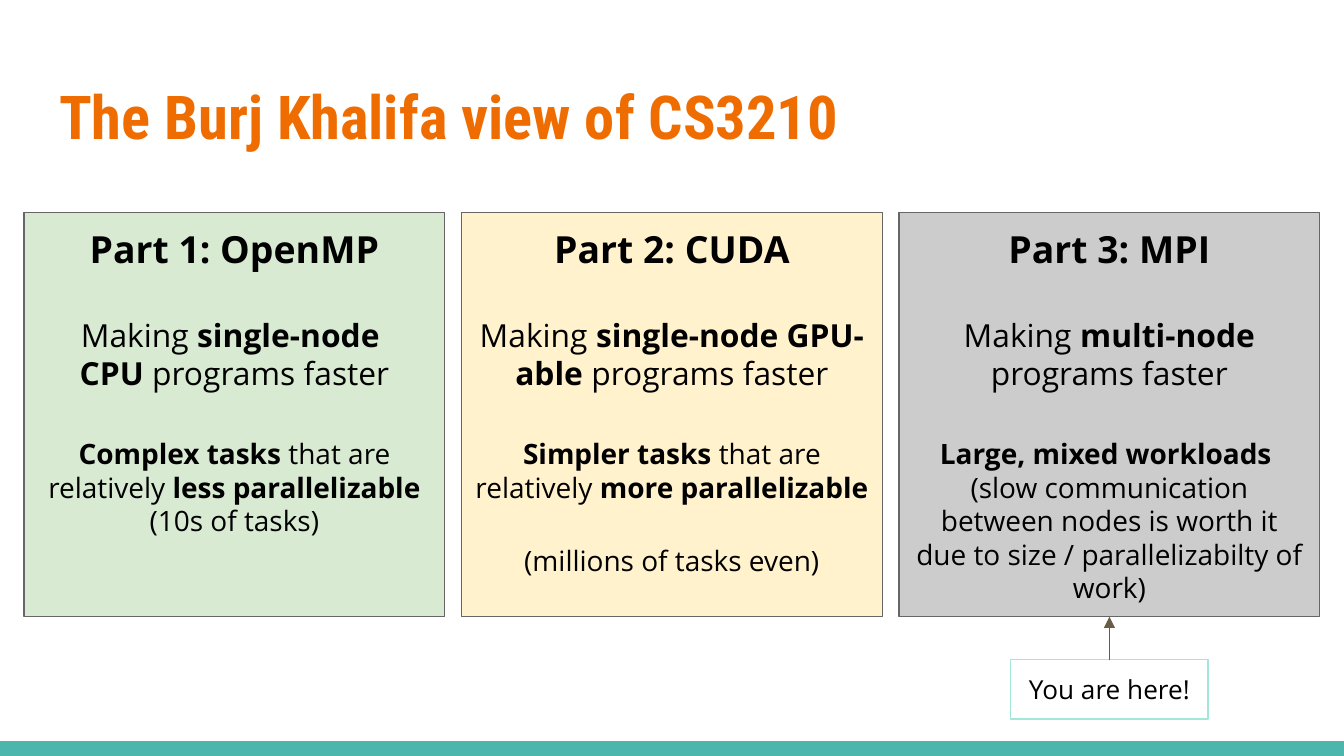
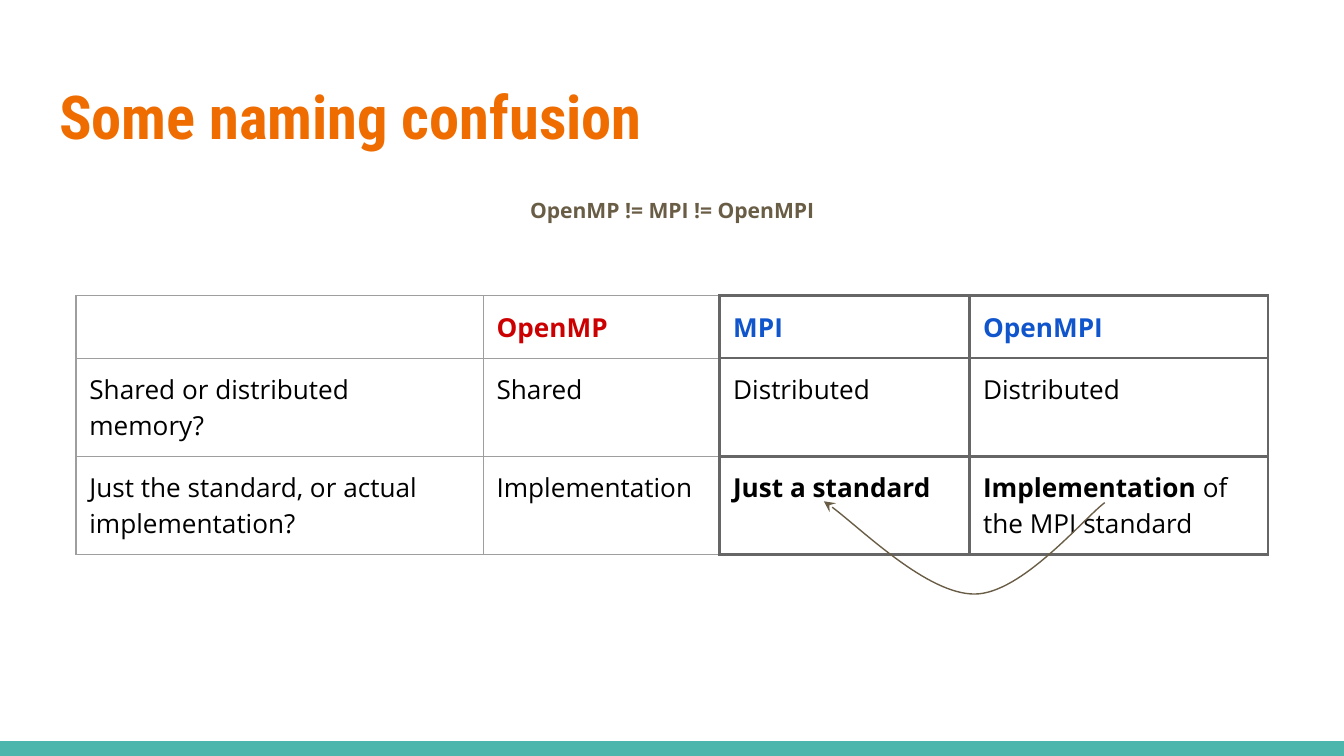
"""Build two course slides: the three parts, and the naming of parallel tools."""
from dataclasses import dataclass

from pptx import Presentation
from pptx.dml.color import RGBColor
from pptx.enum.shapes import MSO_CONNECTOR, MSO_SHAPE
from pptx.enum.text import MSO_ANCHOR, MSO_AUTO_SIZE, PP_ALIGN
from pptx.oxml.xmlchemy import OxmlElement
from pptx.util import Inches, Pt


@dataclass(frozen=True)
class Theme:
    title_font: str = "Roboto Condensed"
    body_font: str = "Open Sans"
    title: str = "EF6C00"
    band: str = "4DB6AC"
    ink: str = "000000"
    brown: str = "695D46"
    dark_grey: str = "666666"
    light_grey: str = "9E9E9E"
    mint: str = "A1E8D9"
    red: str = "CC0000"
    blue: str = "1155CC"
    title_size: float = 32.4
    card_sizes: tuple = (20, 17, 15)
    normal_size: float = 14
    note_size: float = 11.3
    thin: float = 0.75
    thick: float = 1.5


THEME = Theme()
WIDTH, HEIGHT = 10, 10 * 9 / 16
INSET = 0.1
TITLE_BOX = (0.34, 0.49, 9.32, 0.77)
BAND_HEIGHT = 0.11

CARDS_TITLE = "The Burj Khalifa view of CS3210"
CARDS = [
    ("D9EAD3", ["**Part 1: OpenMP**",
                "Making **single-node \nCPU** programs faster",
                "**Complex tasks **that are relatively **less parallelizable **(10s of tasks)"]),
    ("FFF2CC", ["**Part 2: CUDA**",
                "Making **single-node GPU-able** programs faster",
                "**Simpler tasks **that are relatively **more parallelizable \n**(millions of tasks even)"]),
    ("CCCCCC", ["**Part 3: MPI**",
                "Making **multi-node** programs faster",
                "**Large, mixed workloads \n**(slow communication between nodes is worth it "
                "due to size / parallelizabilty of work)"]),
]
CARD_MARGIN, CARD_TOP, CARD_WIDTH, CARD_HEIGHT = 0.18, 1.58, 3.13, 3.01
CARD_GAP = 24
HERE_TEXT = "You are here!"
HERE_TOP, HERE_WIDTH, HERE_HEIGHT = 4.91, 1.47, 0.44

NAMES_TITLE = "Some naming confusion"
NAMES_NOTE = "**OpenMP != MPI != OpenMPI**"
NOTE_BOX = (0.34, 1.38, 9.32, 0.55)
NAMES = [
    ["", "**OpenMP**", "**MPI**", "**OpenMPI**"],
    ["Shared or distributed memory?", "Shared", "Distributed", "Distributed"],
    ["Just the standard, or actual implementation?", "Implementation",
     "**Just a standard**", "**Implementation** of the MPI standard"],
]
HEADER_COLORS = [THEME.ink, THEME.red, THEME.blue, THEME.blue]
COLUMN_WIDTHS = [3.03, 1.76, 1.86, 2.22]
TABLE_TOP, TABLE_HEIGHT, ROW_HEIGHT = 2.2, 1.77, 0.42
FIRST_THICK_COLUMN = 2
ARROW_START = (6.13, 3.73)
ARROW_CURVES = [
    [(6.32, 3.85), (6.9, 4.42), (7.25, 4.42)],
    [(7.6, 4.42), (8.06, 3.86), (8.22, 3.74)],
]


def inches(values):
    return [Inches(value) for value in values]


def color(code):
    return RGBColor.from_string(code)


def write(frame, texts, sizes, ink=THEME.ink, font=THEME.body_font, align=PP_ALIGN.LEFT,
          anchor=MSO_ANCHOR.TOP, spacing=1.0, gap=0):
    """Write paragraphs in which double asterisks switch bold on and off."""
    frame.word_wrap = True
    frame.auto_size = MSO_AUTO_SIZE.NONE
    frame.vertical_anchor = anchor
    frame.margin_left = frame.margin_right = Inches(INSET)
    frame.margin_top = frame.margin_bottom = Inches(INSET)
    for index, (text, size) in enumerate(zip(texts, sizes)):
        para = frame.add_paragraph() if index else frame.paragraphs[0]
        para.alignment = align
        para.line_spacing = spacing
        if index:
            para.space_before = Pt(gap)
        for part, piece in enumerate(text.split("**")):
            for row, line in enumerate(piece.split("\n")):
                if row:
                    para.add_line_break()
                if line:
                    span = para.add_run()
                    span.text = line
                    span.font.name = font
                    span.font.size = Pt(size)
                    span.font.bold = part % 2 == 1
                    span.font.color.rgb = color(ink)


def paint(shape, fill=None, line=None):
    shape.shadow.inherit = False
    if fill:
        shape.fill.solid()
        shape.fill.fore_color.rgb = color(fill)
    else:
        shape.fill.background()
    if line:
        stroke(shape, line)
    else:
        shape.line.fill.background()


def stroke(shape, code):
    shape.line.color.rgb = color(code)
    shape.line.width = Pt(THEME.thin)


def add_box(page, place, fill=None, line=None):
    box = page.shapes.add_shape(MSO_SHAPE.RECTANGLE, *inches(place))
    paint(box, fill, line)
    return box


def add_arrowhead(shape, end, kind):
    head = OxmlElement(f"a:{end}")
    head.set("type", kind)
    shape.line._get_or_add_ln().append(head)


def start_page(deck, title):
    page = deck.slides.add_slide(deck.slide_layouts[5])
    add_box(page, (0, HEIGHT - BAND_HEIGHT, WIDTH, BAND_HEIGHT), fill=THEME.band)
    box = page.shapes.title
    box.left, box.top, box.width, box.height = inches(TITLE_BOX)
    write(box.text_frame, [f"**{title}**"], [THEME.title_size], ink=THEME.title,
          font=THEME.title_font)
    return page


def build_cards(deck):
    page = start_page(deck, CARDS_TITLE)
    pitch = (WIDTH - 2 * CARD_MARGIN - CARD_WIDTH) / (len(CARDS) - 1)
    for index, (fill, texts) in enumerate(CARDS):
        left = CARD_MARGIN + index * pitch
        card = add_box(page, (left, CARD_TOP, CARD_WIDTH, CARD_HEIGHT), fill, THEME.dark_grey)
        write(card.text_frame, texts, THEME.card_sizes, align=PP_ALIGN.CENTER, gap=CARD_GAP)
    here_left = left + (CARD_WIDTH - HERE_WIDTH) / 2
    here = add_box(page, (here_left, HERE_TOP, HERE_WIDTH, HERE_HEIGHT), line=THEME.mint)
    write(here.text_frame, [HERE_TEXT], [THEME.normal_size], align=PP_ALIGN.CENTER,
          anchor=MSO_ANCHOR.MIDDLE)
    arrow = page.shapes.add_connector(MSO_CONNECTOR.STRAIGHT, 0, 0, 0, 0)
    arrow.begin_connect(here, 0)
    arrow.end_connect(card, 2)
    stroke(arrow, THEME.brown)
    add_arrowhead(arrow, "tailEnd", "triangle")
    arrow._element.spPr.append(OxmlElement("a:effectLst"))


def set_borders(cell, thick_sides):
    properties = cell._tc.get_or_add_tcPr()
    for position, side in enumerate("LRTB"):
        thick = side in thick_sides
        border = OxmlElement(f"a:ln{side}")
        border.set("w", str(Pt(THEME.thick if thick else THEME.thin)))
        fill = OxmlElement("a:solidFill")
        shade = OxmlElement("a:srgbClr")
        shade.set("val", THEME.dark_grey if thick else THEME.light_grey)
        fill.append(shade)
        border.append(fill)
        properties.insert(position, border)


def write_cell(cell, text, ink):
    write(cell.text_frame, [text], [THEME.normal_size], ink=ink)
    body = cell.text_frame._txBody.bodyPr
    body.attrib.clear()
    for child in list(body):
        body.remove(child)
    if not text:
        ending = OxmlElement("a:endParaRPr")
        ending.set("sz", str(THEME.normal_size * 100))
        cell.text_frame.paragraphs[0]._p.append(ending)


def add_names_table(page):
    width = sum(COLUMN_WIDTHS)
    place = inches(((WIDTH - width) / 2, TABLE_TOP, width, TABLE_HEIGHT))
    holder = page.shapes.add_table(len(NAMES), len(COLUMN_WIDTHS), *place)
    table = holder.table
    table.first_row = table.horz_banding = False
    for column, column_width in zip(table.columns, COLUMN_WIDTHS):
        column.width = Inches(column_width)
    for row_index, texts in enumerate(NAMES):
        table.rows[row_index].height = Inches(ROW_HEIGHT)
        for column_index, text in enumerate(texts):
            cell = table.cell(row_index, column_index)
            cell.fill.background()
            cell.margin_left = cell.margin_right = Inches(INSET)
            cell.margin_top = cell.margin_bottom = Inches(INSET)
            write_cell(cell, text, THEME.ink if row_index else HEADER_COLORS[column_index])
            if column_index >= FIRST_THICK_COLUMN:
                set_borders(cell, "LRTB")
            else:
                set_borders(cell, "R" if column_index == FIRST_THICK_COLUMN - 1 else "")
    holder.height = Inches(TABLE_HEIGHT)


def add_curved_arrow(page):
    builder = page.shapes.build_freeform(*inches(ARROW_START))
    points = [inches(point) for curve in ARROW_CURVES for point in curve]
    builder.add_line_segments(points, close=False)
    arrow = builder.convert_to_shape()
    lines = list(arrow._element.iter("{*}lnTo"))
    outline = lines[0].getparent()
    for first in range(0, len(lines), 3):
        curve = OxmlElement("a:cubicBezTo")
        for line in lines[first:first + 3]:
            curve.append(line[0])
            outline.remove(line)
        outline.append(curve)
    paint(arrow, line=THEME.brown)
    add_arrowhead(arrow, "headEnd", "stealth")


def build_names(deck):
    page = start_page(deck, NAMES_TITLE)
    note = page.shapes.add_textbox(*inches(NOTE_BOX))
    write(note.text_frame, [NAMES_NOTE], [THEME.note_size], ink=THEME.brown,
          align=PP_ALIGN.CENTER, spacing=0.95)
    add_names_table(page)
    add_curved_arrow(page)


def main():
    deck = Presentation()
    deck.slide_width, deck.slide_height = inches((WIDTH, HEIGHT))
    build_cards(deck)
    build_names(deck)
    deck.save("out.pptx")


if __name__ == "__main__":
    main()
